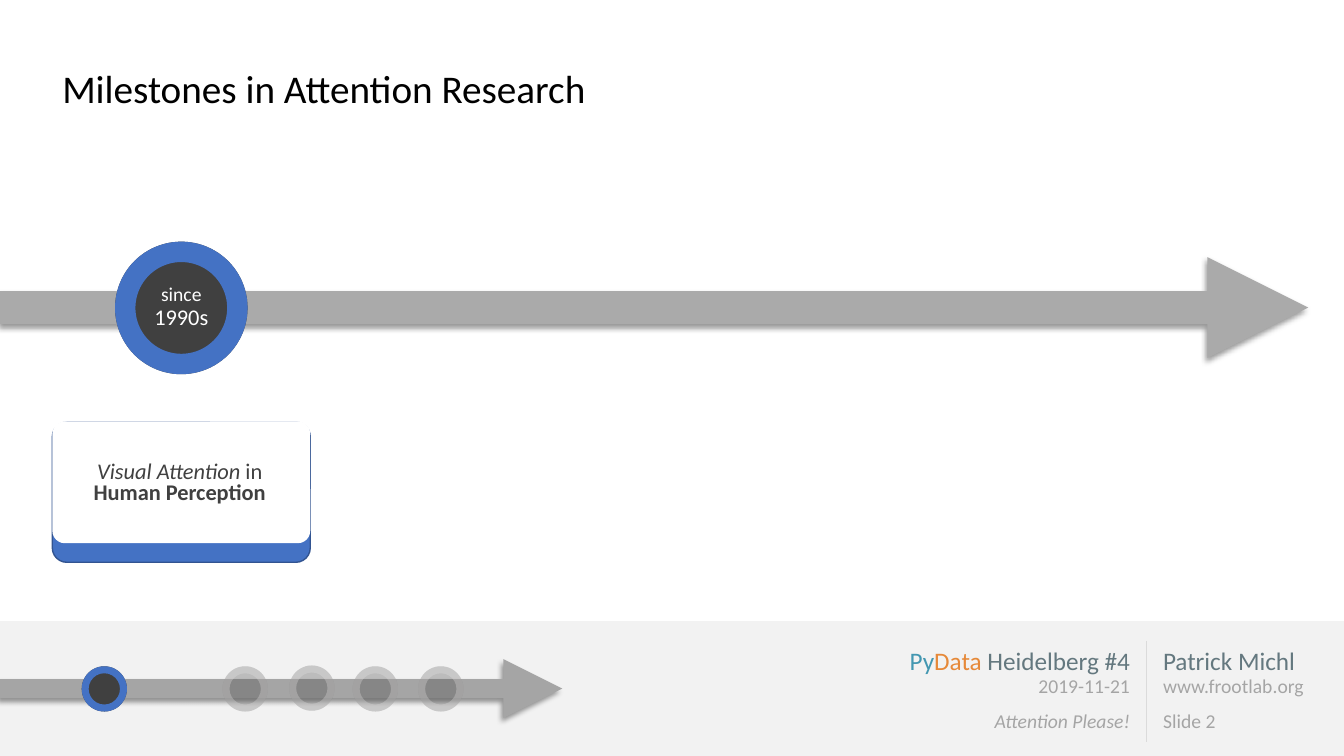
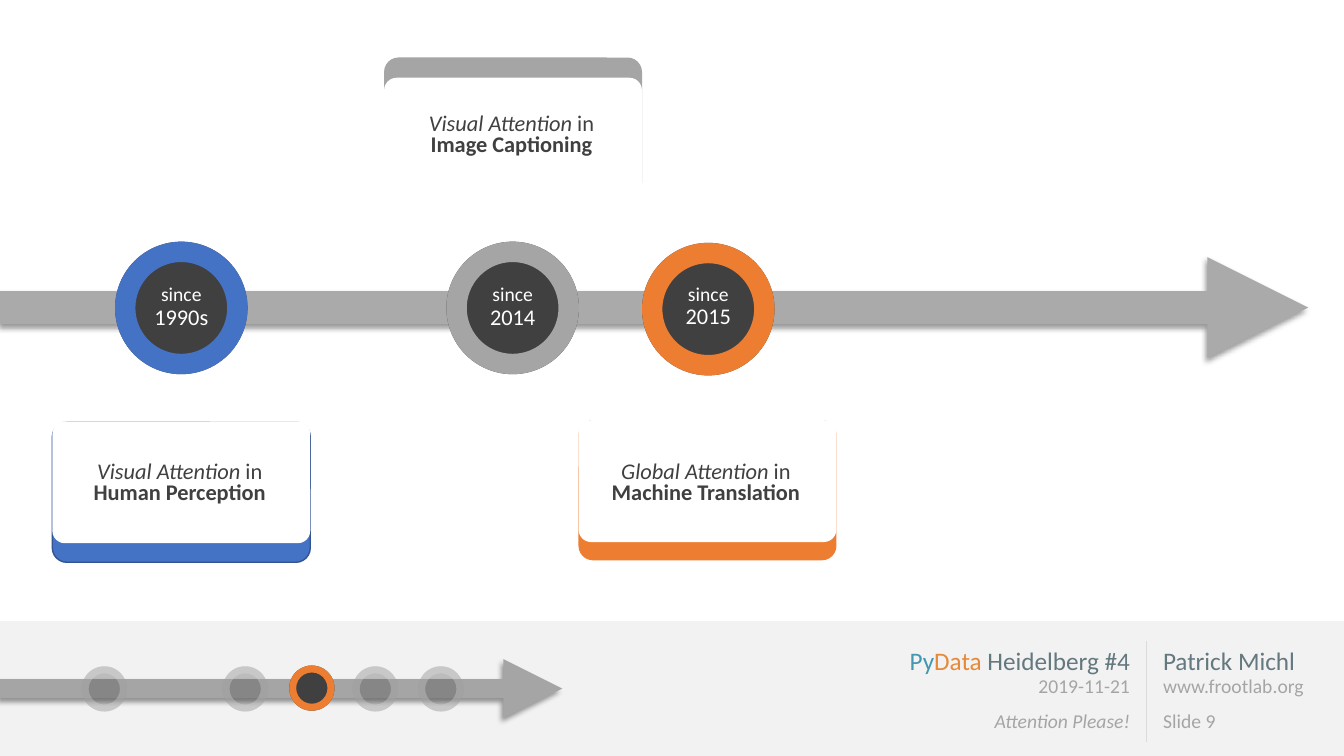
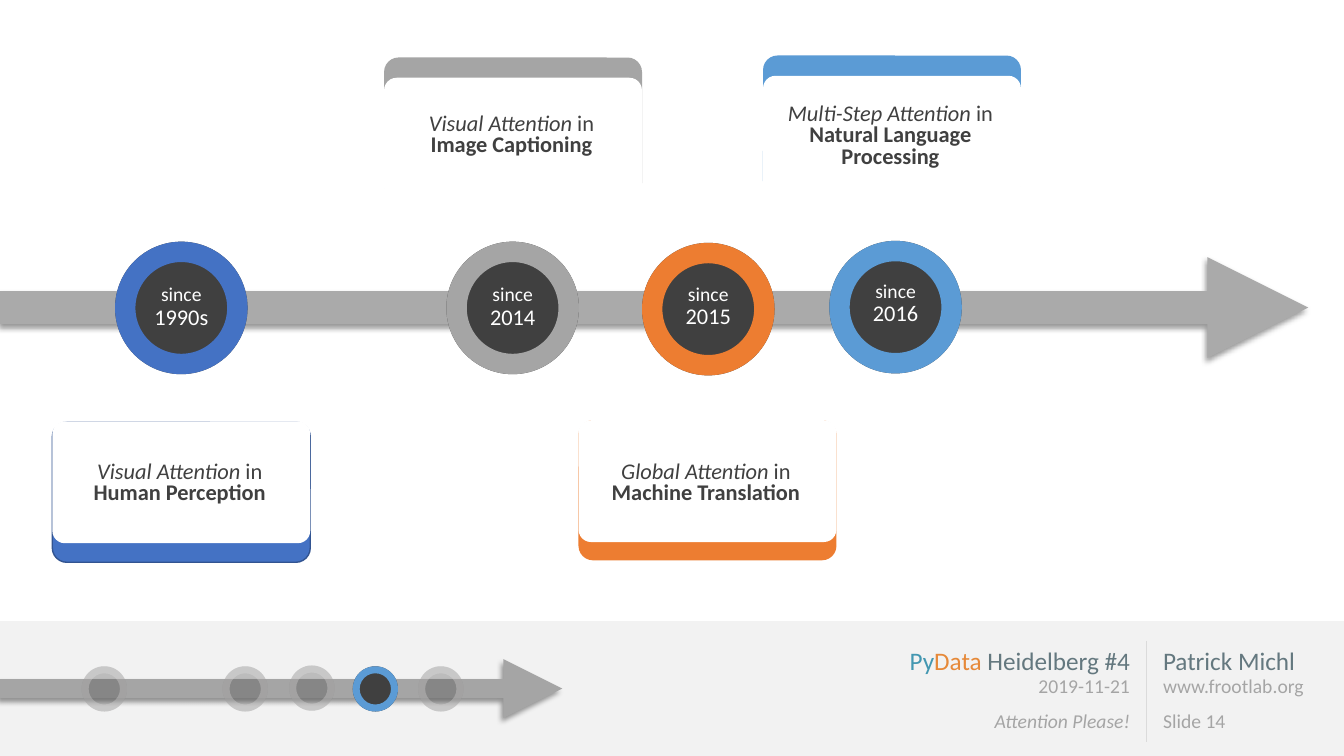
from copy import deepcopy

from lxml import etree
from pptx import Presentation
from pptx.dml.color import RGBColor
from pptx.enum.shapes import MSO_CONNECTOR, MSO_SHAPE
from pptx.enum.text import MSO_ANCHOR, PP_ALIGN
from pptx.oxml.ns import qn
from pptx.util import Cm, Pt

RECTANGLE, ROUNDED = MSO_SHAPE.RECTANGLE, MSO_SHAPE.ROUNDED_RECTANGLE
OVAL, DONUT = MSO_SHAPE.OVAL, MSO_SHAPE.DONUT
STRAIGHT = MSO_CONNECTOR.STRAIGHT
TOP, MIDDLE = MSO_ANCHOR.TOP, MSO_ANCHOR.MIDDLE
LEFT, CENTER, RIGHT = PP_ALIGN.LEFT, PP_ALIGN.CENTER, PP_ALIGN.RIGHT

FONT = "Calibri"
BLACK = RGBColor(0x00, 0x00, 0x00)
WHITE = RGBColor(0xFF, 0xFF, 0xFF)
DARK = RGBColor(0x40, 0x40, 0x40)
BAND = RGBColor(0xF2, 0xF2, 0xF2)
DIVIDER = RGBColor(0xDB, 0xDB, 0xDB)
TIMELINE = RGBColor(0xAA, 0xAA, 0xAA)
PALE = RGBColor(0xE7, 0xE6, 0xE6)
GRAY = RGBColor(0xA5, 0xA5, 0xA5)
SLATE = RGBColor(0x64, 0x78, 0x7F)
TEAL = RGBColor(0x43, 0x97, 0xB1)
AMBER = RGBColor(0xE6, 0x89, 0x39)
BLUE = RGBColor(0x44, 0x72, 0xC4)
NAVY = RGBColor(0x32, 0x54, 0x91)
ORANGE = RGBColor(0xED, 0x7D, 0x31)
SKY = RGBColor(0x5B, 0x9B, 0xD5)

# Sizes in cm
RING, MARK, RING_WIDTH = 3.34, 1.14, 0.154
CARD_WIDTH, CARD_HEIGHT, FRONT_HEIGHT, CARD_CORNER = 6.5, 3.53, 3.07, 0.103
CARD_TEXT_WIDTH, CARD_TEXT_HEIGHT = 6.1, 2.5
YEAR_WIDTH, YEAR_HEIGHT = 1.83, 1.7

# Year, colour, ring left and top, year centre, card left and top, front top,
# card text centre, attention kind, field lines
MILESTONES = [
    ("1990s", BLUE, 2.9, 6.09, 7.75, 1.32, 10.64, 10.62, 12.19,
     "Visual Attention", ["Human Perception"]),
    ("2014", GRAY, 11.25, 6.09, 7.75, 9.68, 1.45, 1.96, 3.42,
     "Visual Attention", ["Image Captioning"]),
    ("2015", ORANGE, 16.18, 6.12, 7.73, 14.58, 10.59, 10.59, 12.19,
     "Global Attention", ["Machine Translation"]),
    ("2016", SKY, 20.9, 6.07, 7.66, 19.23, 1.4, 1.91, 3.44,
     "Multi-Step Attention", ["Natural Language\n", "Processing"]),
]
MARKS = [(2.06, 16.79), (5.61, 16.79), (7.29, 16.77), (8.89, 16.79), (10.54, 16.79)]

# From, to, colour, width in points, arrow or plain line
LINES = [
    (28.9, 16.15, 28.9, 18.7, DIVIDER, 0.5, False),
    (0, 7.75, 32.97, 7.75, TIMELINE, 24, True),
    (0, 17.35, 14.17, 17.35, GRAY, 14, True),
]

# Slide number, milestones reached, title
PAGES = [(2, 1, "Milestones in Attention Research"), (9, 3, None), (14, 4, None)]


def add_block(page, preset, left, top, width, height, color, adjust=None, alpha=None):
    shape = page.shapes.add_shape(preset, Cm(left), Cm(top), Cm(width), Cm(height))
    shape.shadow.inherit = False
    if adjust is not None:
        shape.adjustments[0] = adjust
    shape.fill.solid()
    shape.fill.fore_color.rgb = color
    shape.line.fill.background()
    if alpha is not None:
        paint = shape._element.spPr.find(qn("a:solidFill"))[0]
        etree.SubElement(paint, qn("a:alpha"), val=str(alpha * 1000))
    return shape


def add_text(page, left, top, width, height, paragraphs, align=LEFT, anchor=MIDDLE,
             spacing=0.9, insets=(0.25, 0.25)):
    """Each run is (text, size, colour, style); a final newline is a line break."""
    box = page.shapes.add_textbox(Cm(left), Cm(top), Cm(width), Cm(height))
    frame = box.text_frame
    frame.word_wrap = True
    frame.vertical_anchor = anchor
    frame.margin_left, frame.margin_right = Cm(insets[0]), Cm(insets[1])
    for index, runs in enumerate(paragraphs):
        para = frame.add_paragraph() if index else frame.paragraphs[0]
        para.alignment = align
        para.line_spacing = spacing
        if index:
            para.space_before = Pt(10)
        for text, size, color, style in runs:
            span = para.add_run()
            span.text = text.rstrip("\n")
            span.font.name = FONT
            span.font.size = Pt(size)
            span.font.color.rgb = color
            span.font.bold = style == "bold"
            span.font.italic = style == "italic"
            if text.endswith("\n"):
                para.add_line_break()
                para._p[-1].append(deepcopy(span._r.rPr))


deck = Presentation()
deck.slide_width, deck.slide_height = Cm(33.87), Cm(19.05)

for number, reached, title in PAGES:
    page = deck.slides.add_slide(deck.slide_layouts[6])

    # Footer band
    add_block(page, RECTANGLE, 0, 15.65, 33.87, 3.4, BAND)
    add_text(page, 29.06, 16.23, 4.57, 2.39, [
        [("Patrick Michl\n", 18, SLATE, ""), ("www.frootlab.org", 14, GRAY, "")],
        [(f"Slide {number}", 14, GRAY, "")],
    ], LEFT, TOP, insets=(0.25, 0.1))
    add_text(page, 22.23, 16.23, 6.35, 2.39, [
        [("Py", 18, TEAL, ""), ("Data ", 18, AMBER, ""),
         ("Heidelberg #4\n", 18, SLATE, ""), ("2019-11-21", 14, GRAY, "")],
        [("Attention Please!", 14, GRAY, "italic")],
    ], RIGHT, TOP, insets=(0.25, 0.1))

    # Divider and timeline arrows
    for x1, y1, x2, y2, color, width, is_arrow in LINES:
        line = page.shapes.add_connector(STRAIGHT, Cm(x1), Cm(y1), Cm(x2), Cm(y2))
        line.line.color.rgb = color
        line.line.width = Pt(width)
        properties = line._element.spPr
        effects = etree.SubElement(properties, qn("a:effectLst"))
        if is_arrow:
            etree.SubElement(properties.find(qn("a:ln")), qn("a:tailEnd"), type="triangle")
            shadow = etree.SubElement(effects, qn("a:outerShdw"), blurRad=str(Pt(4)),
                                      dist=str(Pt(3)), dir=str(135 * 60000))
            tint = etree.SubElement(shadow, qn("a:srgbClr"), val=str(BLACK))
            etree.SubElement(tint, qn("a:alpha"), val="40000")

    # Title
    if title:
        add_text(page, 1.32, 1.07, 31.83, 2.46, [[(title, 28, BLACK, "")]])

    # Milestones
    for (year, color, ring_left, ring_top, year_middle, card_left, card_top, front_top,
         text_middle, kind, field) in MILESTONES[:reached]:
        add_block(page, OVAL, ring_left, ring_top, RING, RING, DARK)
        add_block(page, DONUT, ring_left, ring_top, RING, RING, color, RING_WIDTH)
        add_text(page, ring_left + (RING - YEAR_WIDTH) / 2, year_middle - YEAR_HEIGHT / 2,
                 YEAR_WIDTH, YEAR_HEIGHT,
                 [[("since\n", 14, WHITE, ""), (year, 16, WHITE, "")]],
                 CENTER, insets=(0.2, 0.2))

        card = add_block(page, ROUNDED, card_left, card_top, CARD_WIDTH, CARD_HEIGHT,
                         color, CARD_CORNER)
        if color == BLUE:
            card.line.color.rgb = NAVY
            card.line.width = Pt(1)
        add_block(page, ROUNDED, card_left, front_top, CARD_WIDTH, FRONT_HEIGHT,
                  WHITE, CARD_CORNER)
        runs = [(kind, 16, DARK, "italic"), (" in\n", 16, DARK, "")]
        runs += [(part, 16, DARK, "bold") for part in field]
        add_text(page, card_left + 0.16, text_middle - CARD_TEXT_HEIGHT / 2,
                 CARD_TEXT_WIDTH, CARD_TEXT_HEIGHT, [runs], CENTER, spacing=0.8)

    # Progress marks
    for index, (left, top) in enumerate(MARKS):
        current = index == reached - 1
        alpha = None if current else 30
        rim = MILESTONES[index][1] if current else PALE
        add_block(page, OVAL, left, top, MARK, MARK, DARK, alpha=alpha)
        add_block(page, DONUT, left, top, MARK, MARK, rim, RING_WIDTH, alpha)

deck.save("out.pptx")
